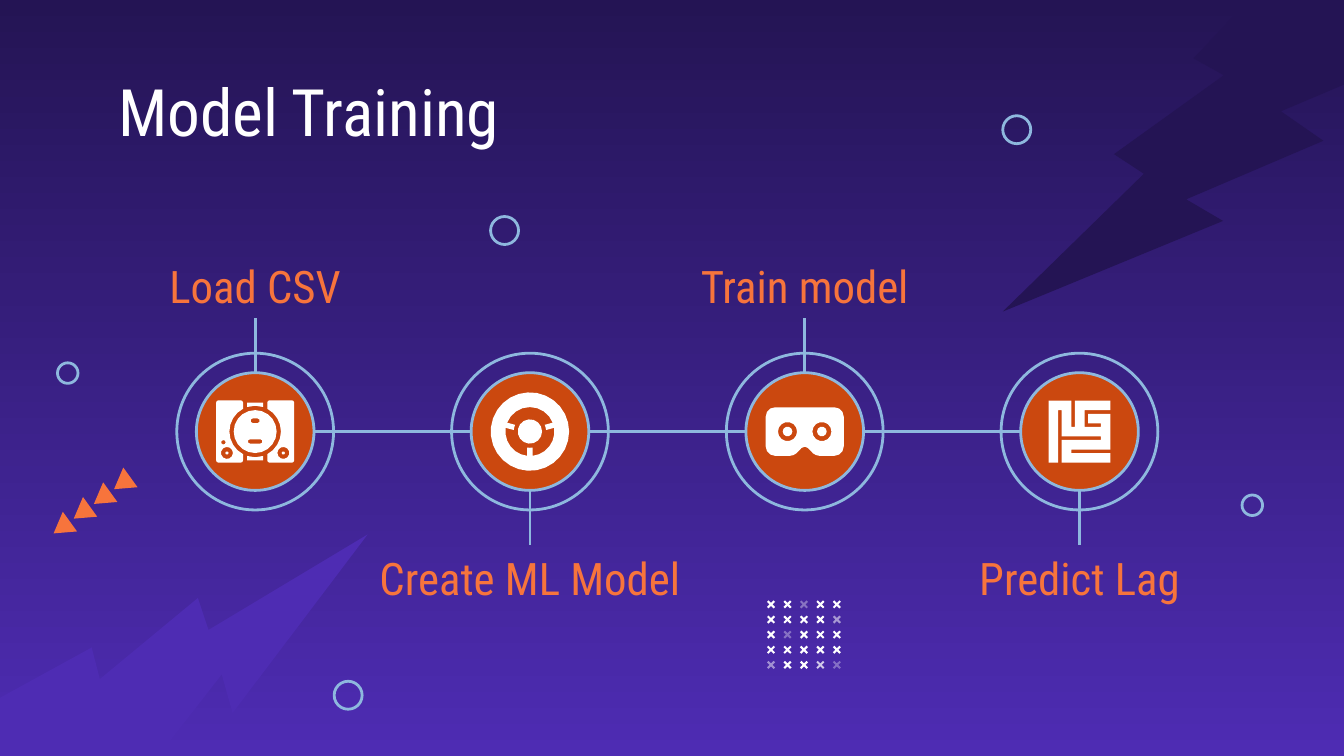
from math import cos, radians, sin, sqrt
from typing import NamedTuple, Optional

from lxml.etree import SubElement
from pptx import Presentation
from pptx.dml.color import RGBColor
from pptx.enum.shapes import MSO_CONNECTOR, MSO_SHAPE
from pptx.enum.text import MSO_ANCHOR, PP_ALIGN
from pptx.oxml.ns import qn
from pptx.util import Pt

NIGHT = RGBColor(0x24, 0x14, 0x54)
VIOLET = RGBColor(0x4E, 0x2C, 0xB3)
SKY = RGBColor(0x8E, 0xB8, 0xDE)
RUST = RGBColor(0xCB, 0x48, 0x0F)
ORANGE = RGBColor(0xF7, 0x74, 0x3C)
WHITE = RGBColor(0xFF, 0xFF, 0xFF)
FONT = "Roboto Condensed"

FIRST_X, AXIS_Y, STEP_GAP = 136.7, 231.2, 147.2
RING, DISC, STEM_END, LABEL_OFFSET = 84, 63, 61, 78

Contour = list[tuple[float, float]]


class Step(NamedTuple):
    label: str
    side: int  # -1 puts the label above the axis, 1 below
    label_width: float
    icon: list[list[Contour]]  # each icon part is an outline plus its holes


class Ring(NamedTuple):
    left: float
    top: float
    size: float


# Outline geometry, relative to the centre of a step
def arc(radius: float, start: float, end: float, x: float = 0, y: float = 0) -> Contour:
    # Small arcs need fewer segments for the same smoothness
    count = max(2, round(abs(end - start) * sqrt(radius) / 60))
    angles = [radians(start + (end - start) * i / count) for i in range(count + 1)]
    return [(x + radius * cos(a), y + radius * sin(a)) for a in angles]


def circle(x: float, y: float, radius: float) -> Contour:
    return arc(radius, 0, 360, x, y)[:-1]


def pill(y: float, width: float, height: float) -> Contour:
    radius = height / 2
    reach = width / 2 - radius
    return arc(radius, -90, 90, reach, y) + arc(radius, 90, 270, -reach, y)


def mirror(points: Contour) -> Contour:
    return [(-x, y) for x, y in points]


def turntable() -> list[list[Contour]]:
    cabinet = (arc(1.2, 180, 270, -19.7, -15.5) + arc(1.2, 270, 360, -7.7, -15.5)
               + arc(13.8, 242, 118)
               + arc(1.2, 0, 90, -7.7, 15.5) + arc(1.2, 90, 180, -19.7, 15.5))
    cone, knob, dot = (circle(-15.1, 11.5, 3.2), circle(-17, 5.8, 1.2),
                       circle(-15.1, 11.5, 0.9))
    bridge = [(4.3, -15.5), (-4.3, -15.5)] + arc(13.8, 252, 288)
    return [[cabinet, cone, knob], [mirror(cabinet), mirror(cone)],
            [dot], [mirror(dot)],
            [circle(0, 0, 11.5), pill(-5.8, 5, 2.5), pill(5.3, 7.9, 2.3)],
            [bridge], [[(x, -y) for x, y in bridge]]]


def target() -> list[list[Contour]]:
    opening: Contour = []
    for tab, following in ((90, 195), (195, 345), (345, 450)):
        opening += arc(8.7, tab - 9.5, tab + 9.5)
        opening += arc(13.1, tab + 6.3, following - 6.3)
    return [[circle(0, 0, 21), opening], [circle(0, 0, 6.5)]]


def goggles() -> list[list[Contour]]:
    right_half = (arc(5, -90, 0, 15.9, -8) + arc(5, 0, 90, 15.9, 8)
                  + [(7.9, 13), (6, 12.6), (4.5, 11.7), (1.7, 8.8), (0, 8.1)])
    frame = right_half + mirror(right_half)[::-1]
    eyes = (-9.2, 9.2)
    return [[frame] + [circle(x, 0, 5.1) for x in eyes]] + [[circle(x, 0, 2.6)] for x in eyes]


def maze() -> list[list[Contour]]:
    return [[[(-16.6, -16.6), (-16.6, 16.6), (-11.5, 16.6), (-11.5, -11.5),
              (-9.6, -11.5), (-9.6, 2.6), (11.5, 2.6), (11.5, 4.5),
              (-9.6, 4.5), (-9.6, 16.6), (16.6, 16.6), (16.6, 11.5),
              (-4.4, 11.5), (-4.4, 9.7), (16.6, 9.7), (16.6, -9.5),
              (4.6, -9.5), (4.6, -4.4), (11.5, -4.4), (11.5, -2.5),
              (2.7, -2.5), (2.7, -11.5), (16.6, -11.5), (16.6, -16.6),
              (-2.5, -16.6), (-2.5, -2.5), (-4.4, -2.5), (-4.4, -16.6)]]]


# Drawing functions
def paint(shape, fill: Optional[RGBColor], line: Optional[RGBColor] = None) -> None:
    shape.shadow.inherit = False
    if fill is None:
        shape.fill.background()
    else:
        shape.fill.solid()
        shape.fill.fore_color.rgb = fill
    if line is None:
        shape.line.fill.background()
    else:
        shape.line.color.rgb = line
        shape.line.width = Pt(1.5)


def add_preset(page, kind, left: float, top: float, width: float, height: float,
               fill: Optional[RGBColor], line: Optional[RGBColor] = None,
               rotation: float = 0):
    shape = page.shapes.add_shape(kind, Pt(left), Pt(top), Pt(width), Pt(height))
    shape.rotation = rotation
    paint(shape, fill, line)
    return shape


def add_line(page, x1: float, y1: float, x2: float, y2: float) -> None:
    line = page.shapes.add_connector(MSO_CONNECTOR.STRAIGHT, Pt(x1), Pt(y1), Pt(x2), Pt(y2))
    line.line.color.rgb = SKY
    line.line.width = Pt(1.5)
    SubElement(line._element.spPr, qn("a:effectLst"))


def add_text(page, text: str, left: float, top: float, width: float, height: float,
             size: float, color: RGBColor, align, anchor) -> None:
    box = page.shapes.add_textbox(Pt(left), Pt(top), Pt(width), Pt(height))
    frame = box.text_frame
    frame.word_wrap = True
    frame.vertical_anchor = anchor
    frame.margin_left = frame.margin_right = frame.margin_top = frame.margin_bottom = Pt(7.2)
    para = frame.paragraphs[0]
    para.alignment = align
    span = para.add_run()
    span.text = text
    span.font.name, span.font.size = FONT, Pt(size)
    span.font.color.rgb = color


def add_outline(page, contours: list[Contour], x: float, y: float) -> None:
    placed = [[((x + dx) * 100, (y + dy) * 100) for dx, dy in contour] for contour in contours]
    builder = page.shapes.build_freeform(*placed[0][0], scale=Pt(1) / 100)
    builder.add_line_segments(placed[0][1:], close=True)
    for hole in placed[1:]:
        builder.move_to(*hole[0])
        builder.add_line_segments(hole[1:], close=True)
    paint(builder.convert_to_shape(), WHITE)


def add_step(page, step: Step, x: float) -> None:
    add_line(page, x, AXIS_Y + step.side * DISC / 2, x, AXIS_Y + step.side * STEM_END)
    for size, fill in ((RING, None), (DISC, RUST)):
        add_preset(page, MSO_SHAPE.OVAL, x - size / 2, AXIS_Y - size / 2, size, size, fill, SKY)
    for part in step.icon:
        add_outline(page, part, x, AXIS_Y)
    add_text(page, step.label, x - step.label_width / 2,
             AXIS_Y + step.side * LABEL_OFFSET - 10.5, step.label_width, 21,
             24, ORANGE, PP_ALIGN.CENTER, MSO_ANCHOR.MIDDLE)


def main() -> None:
    deck = Presentation()
    deck.slide_width, deck.slide_height = Pt(720), Pt(405)
    page = deck.slides.add_slide(deck.slide_layouts[6])

    # Background gradient and lightning bolts
    backdrop = page.background.fill
    backdrop.gradient()
    backdrop.gradient_angle = 270
    for stop, color in zip(backdrop.gradient_stops, (NIGHT, VIOLET)):
        stop.color.rgb = color
    add_preset(page, MSO_SHAPE.LIGHTNING_BOLT, -8, 273.6, 193.7, 193.7, VIOLET, rotation=277.1)
    dark_bolt = add_preset(page, MSO_SHAPE.LIGHTNING_BOLT, 550, -24.5, 206, 206, NIGHT,
                           rotation=7.6)
    dark_bolt._element.spPr.xfrm.set("flipH", "1")

    add_text(page, "Model Training", 56.2, 31, 607, 46, 35, WHITE,
             PP_ALIGN.LEFT, MSO_ANCHOR.TOP)

    # Timeline
    steps = [Step("Load CSV", -1, 148, turntable()), Step("Create ML Model", 1, 210, target()),
             Step("Train model", -1, 148, goggles()), Step("Predict Lag", 1, 148, maze())]
    last_x = FIRST_X + STEP_GAP * (len(steps) - 1)
    add_line(page, FIRST_X + DISC / 2, AXIS_Y, last_x - DISC / 2, AXIS_Y)
    for index, step in enumerate(steps):
        add_step(page, step, FIRST_X + STEP_GAP * index)

    # Scattered rings
    for ring in (Ring(665.4, 265.2, 11), Ring(30.8, 194.4, 11), Ring(537.2, 62, 15),
                 Ring(262.8, 116, 15), Ring(179, 365, 15)):
        add_preset(page, MSO_SHAPE.OVAL, ring.left, ring.top, ring.size, ring.size, None, SKY)

    # Rising row of triangles
    for index in range(4):
        add_preset(page, MSO_SHAPE.ISOSCELES_TRIANGLE, 26.6 + 10.8 * index,
                   277.2 - 7.9 * index, 13, 10.8, ORANGE, rotation=234.2)

    # Grid of crosses, some faded (opacity in percent by row and column)
    faded = {(0, 2): 36, (1, 4): 53, (2, 1): 34, (4, 0): 48, (4, 3): 75, (4, 4): 33}
    for row in range(5):
        for column in range(5):
            cross = add_preset(page, MSO_SHAPE.CROSS, 410.6 + 8.82 * column,
                               321.3 + 8.1 * row, 5, 5, WHITE, rotation=315)
            cross.adjustments[0] = 0.39
            if (row, column) in faded:
                color = cross._element.spPr.find(qn("a:solidFill")).find(qn("a:srgbClr"))
                SubElement(color, qn("a:alpha")).set("val", str(faded[row, column] * 1000))

    deck.save("out.pptx")


if __name__ == "__main__":
    main()
